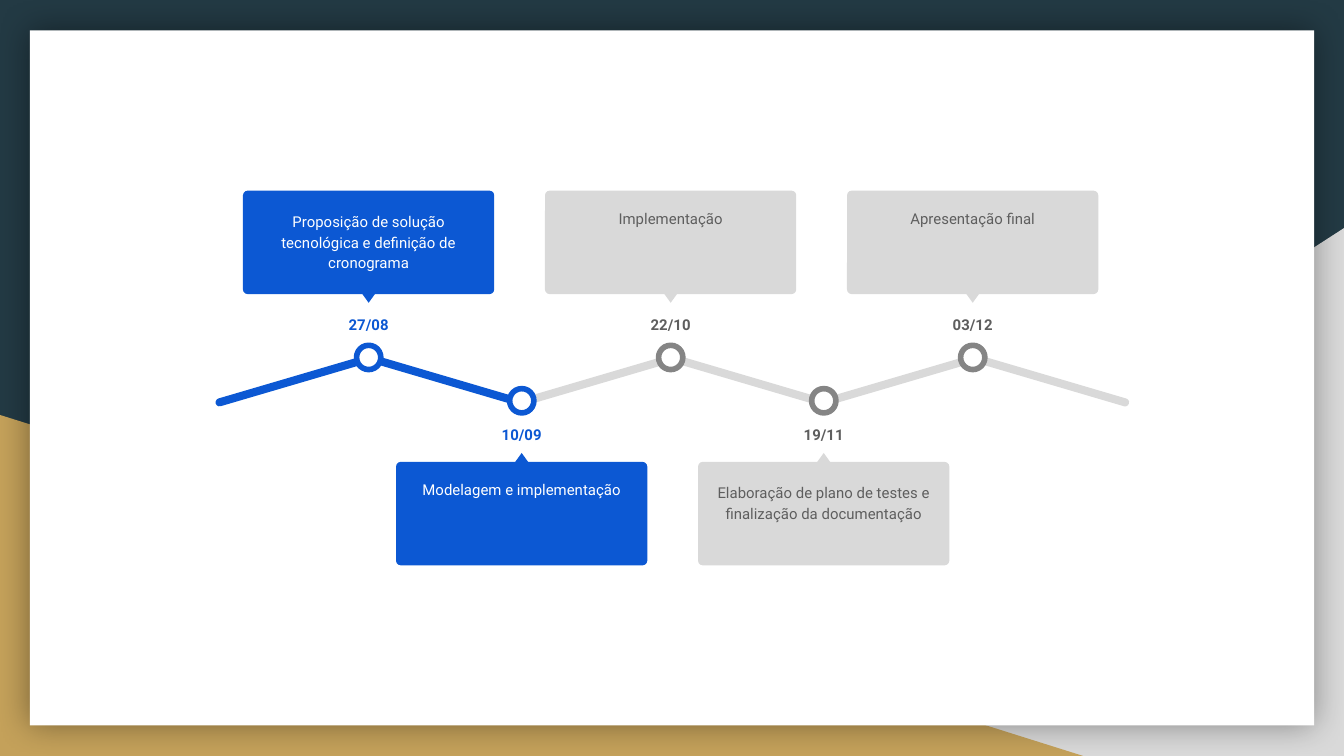
from dataclasses import dataclass

from lxml.etree import SubElement
from pptx import Presentation
from pptx.dml.color import RGBColor
from pptx.enum.shapes import MSO_SHAPE
from pptx.enum.text import MSO_ANCHOR, PP_ALIGN
from pptx.oxml.ns import qn
from pptx.util import Pt

COLORS = {
    "navy": "233A44", "sand": "C4A15A", "white": "FFFFFF", "black": "000000",
    "blue": "0C58D3", "light": "D9D9D9", "ring": "858585", "text": "5E5E5E",
}
FONT = "Roboto"

# Timeline grid, in points
FIRST_X, PAIR_STEP, LOWER_SHIFT = 197.5, 161.8, 82
SEGMENT_X, SEGMENT_STEP, SEGMENT_Y = 157.7, 81, 203.8
SEGMENT_WIDTH, SEGMENT_HEIGHT, SEGMENT_ANGLE = 87.8, 4.3, 16.4
CARD_WIDTH, CARD_HEIGHT, CARD_PADDING = 134.6, 55.4, 3.2


@dataclass
class Milestone:
    date: str
    task: str
    done: bool = False


@dataclass
class Row:
    """Vertical positions of the parts of a milestone."""
    card: float
    pointer: float
    label: float
    dot: float
    turn: float


UPPER = Row(card=102.2, pointer=157.2, label=162, dot=185, turn=180)
LOWER = Row(card=247.5, pointer=242.7, label=221, dot=208.2, turn=0)

MILESTONES = [
    Milestone("27/08", "Proposição de solução tecnológica e definição de cronograma", True),
    Milestone("10/09", "Modelagem e implementação", True),
    Milestone("22/10", "Implementação"),
    Milestone("19/11", "Elaboração de plano de testes e finalização da documentação"),
    Milestone("03/12", "Apresentação final"),
]


def rgb(name: str) -> RGBColor:
    return RGBColor.from_string(COLORS[name])


def add_figure(shapes, kind, left: float, top: float, width: float, height: float,
               fill: str, turn: float = 0, corner: float | None = None):
    figure = shapes.add_shape(kind, Pt(left), Pt(top), Pt(width), Pt(height))
    figure.shadow.inherit = False
    figure.fill.solid()
    figure.fill.fore_color.rgb = rgb(fill)
    figure.line.fill.background()
    figure.rotation = turn
    if corner is not None:
        figure.adjustments[0] = corner
    return figure


def add_text(shapes, text: str, *, left: float, top: float, width: float,
             height: float, color: str, bold: bool = False, size: float = 8) -> None:
    box = shapes.add_textbox(Pt(left), Pt(top), Pt(width), Pt(height))
    frame = box.text_frame
    frame.word_wrap = True
    frame.vertical_anchor = MSO_ANCHOR.TOP
    frame.margin_left = frame.margin_right = Pt(7.2)
    frame.margin_top = frame.margin_bottom = Pt(7.2)
    para = frame.paragraphs[0]
    para.alignment = PP_ALIGN.CENTER
    para.line_spacing = 1.15
    para.space_after = Pt(16)
    span = para.add_run()
    span.text = text
    span.font.name = FONT
    span.font.size = Pt(size)
    span.font.bold = bold
    span.font.color.rgb = rgb(color)


def add_glow(figure, color: str, opacity: int, blur: float) -> None:
    effects = figure._element.spPr.find(qn("a:effectLst"))
    shadow = SubElement(effects, qn("a:outerShdw"), blurRad=str(Pt(blur)),
                        dist="0", dir="0", algn="ctr", rotWithShape="0")
    tint = SubElement(shadow, qn("a:srgbClr"), val=COLORS[color])
    SubElement(tint, qn("a:alpha"), val=str(opacity * 1000))


def draw_backdrop(page) -> None:
    page.background.fill.solid()
    page.background.fill.fore_color.rgb = rgb("navy")
    corner = add_figure(page.shapes, MSO_SHAPE.RIGHT_TRIANGLE, 282.2, 122.2, 437.8, 282.8, "light")
    corner._element.spPr.get_or_add_xfrm().set("flipH", "1")
    add_figure(page.shapes, MSO_SHAPE.RIGHT_TRIANGLE, 0, 222.3, 580.3, 182.7, "sand")
    panel = add_figure(page.shapes, MSO_SHAPE.RECTANGLE, 16, 16.3, 688, 372.4, "white")
    add_glow(panel, "black", opacity=40, blur=18)


def draw_zigzag(page) -> None:
    # Right to left, so that the finished segments lie on top
    for index in reversed(range(len(MILESTONES) + 1)):
        center = SEGMENT_X + index * SEGMENT_STEP
        done = index < len(MILESTONES) and MILESTONES[index].done
        add_figure(page.shapes, MSO_SHAPE.ROUNDED_RECTANGLE,
                   center - SEGMENT_WIDTH / 2, SEGMENT_Y - SEGMENT_HEIGHT / 2,
                   SEGMENT_WIDTH, SEGMENT_HEIGHT, "blue" if done else "light",
                   turn=SEGMENT_ANGLE if index % 2 else -SEGMENT_ANGLE, corner=0.5)


def draw_milestone(page, index: int, milestone: Milestone) -> None:
    pair, is_lower = divmod(index, 2)
    center = FIRST_X + pair * PAIR_STEP + is_lower * LOWER_SHIFT
    row = LOWER if is_lower else UPPER
    if milestone.done:
        fill, ring, date_color, task_color = "blue", "blue", "blue", "white"
    else:
        fill, ring, date_color, task_color = "light", "ring", "text", "text"
    shapes = page.shapes.add_group_shape().shapes

    # Card with its pointer
    left = center - CARD_WIDTH / 2
    add_figure(shapes, MSO_SHAPE.ROUNDED_RECTANGLE, left, row.card,
               CARD_WIDTH, CARD_HEIGHT, fill, corner=0.045)
    add_figure(shapes, MSO_SHAPE.ISOSCELES_TRIANGLE, center - 3.6, row.pointer,
               7.2, 5, fill, turn=row.turn)
    add_text(shapes, milestone.task, left=left + CARD_PADDING, top=row.card + CARD_PADDING,
             width=CARD_WIDTH - 2 * CARD_PADDING, height=CARD_HEIGHT - 2 * CARD_PADDING,
             color=task_color)

    # Date and dot
    add_text(shapes, milestone.date, left=center - 27.4, top=row.label,
             width=54.8, height=21.6, color=date_color, bold=True)
    dot = add_figure(shapes, MSO_SHAPE.OVAL, center - 6.5, row.dot, 13, 13, "white")
    dot.line.color.rgb = rgb(ring)
    dot.line.width = Pt(3)


def main() -> None:
    deck = Presentation()
    deck.slide_width, deck.slide_height = Pt(720), Pt(405)
    page = deck.slides.add_slide(deck.slide_layouts[6])
    draw_backdrop(page)
    draw_zigzag(page)
    for index, milestone in enumerate(MILESTONES):
        draw_milestone(page, index, milestone)
    deck.save("out.pptx")


if __name__ == "__main__":
    main()
